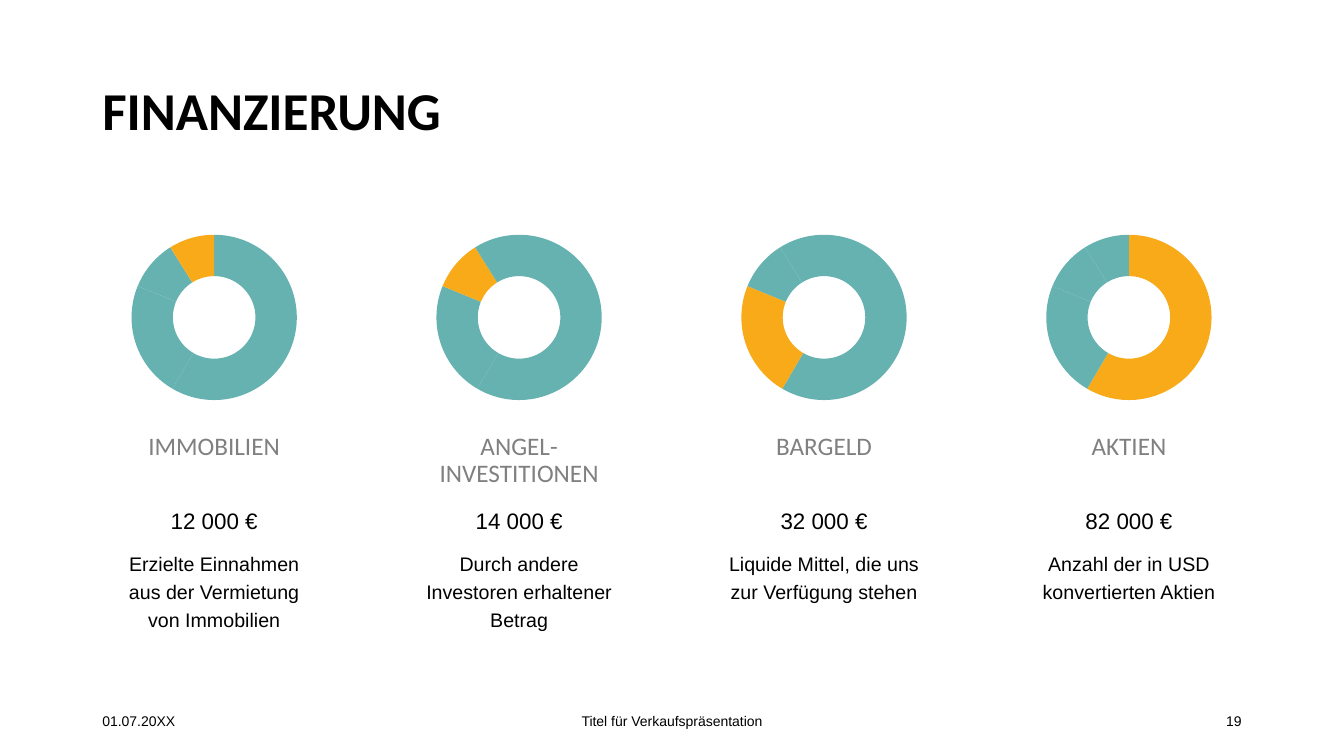
"""Builds the financing slide with four highlighted doughnut charts."""
from lxml.etree import SubElement
from pptx import Presentation
from pptx.chart.data import CategoryChartData
from pptx.dml.color import RGBColor
from pptx.enum.chart import XL_CHART_TYPE
from pptx.enum.text import MSO_ANCHOR, PP_ALIGN
from pptx.oxml.ns import qn
from pptx.util import Pt

SHARES = (59, 23, 10, 9)
PLOT_LAYOUT = (("layoutTarget", "inner"), ("xMode", "edge"), ("yMode", "edge"),
               ("x", 0.09), ("y", 0.07), ("w", 0.82), ("h", 0.87))
COLUMN_LEFT, COLUMN_STEP, COLUMN_WIDTH = 72, 217.8, 162
SOURCES = (
    ("IMMOBILIEN", "12 000 €", "Erzielte Einnahmen aus der Vermietung von Immobilien", 3),
    ("ANGEL-INVESTITIONEN", "14 000 €", "Durch andere Investoren erhaltener Betrag", 2),
    ("BARGELD", "32 000 €", "Liquide Mittel, die uns zur Verfügung stehen", 1),
    ("AKTIEN", "82 000 €", "Anzahl der in USD konvertierten Aktien", 0),
)
FOOTERS = (
    ("01.07.20XX", 66, 216, PP_ALIGN.LEFT),
    ("Titel für Verkaufspräsentation", 318, 324, PP_ALIGN.CENTER),
    ("19", 678, 216, PP_ALIGN.RIGHT),
)


def color(value):
    return RGBColor.from_string(value)


class SlideBuilder:
    heading_font = "Calibri"
    body_font = "Arial"
    black = "000000"
    gray = "808080"
    teal = "66B2B0"
    orange = "F9AA19"

    def __init__(self, deck):
        self.page = deck.slides.add_slide(deck.slide_layouts[6])

    def add_text(self, text, left, top, width, height, size=14, font=None, ink=None,
                 bold=False, align=PP_ALIGN.LEFT, anchor=MSO_ANCHOR.TOP, spacing=None):
        box = self.page.shapes.add_textbox(Pt(left), Pt(top), Pt(width), Pt(height))
        box.text_frame.word_wrap = True
        box.text_frame.vertical_anchor = anchor
        para = box.text_frame.paragraphs[0]
        para.alignment = align
        para.line_spacing = spacing
        span = para.add_run()
        span.text = text
        span.font.name = font or self.body_font
        span.font.size = Pt(size)
        span.font.bold = bold
        span.font.color.rgb = color(ink or self.black)

    def add_doughnut(self, left, top, width, height, highlight):
        data = CategoryChartData()
        data.categories = [str(number) for number in range(1, len(SHARES) + 1)]
        data.add_series("Series 1", SHARES)
        chart = self.page.shapes.add_chart(
            XL_CHART_TYPE.DOUGHNUT, Pt(left), Pt(top), Pt(width), Pt(height), data).chart
        chart.has_legend = False
        chart.has_title = False
        chart.font.name = self.body_font
        chart.font.size = Pt(10)
        chart.font.color.rgb = color(self.black)
        plot = chart.plots[0]
        plot.vary_by_categories = True
        for index in range(len(SHARES)):
            slice_format = plot.series[0].points[index].format
            slice_format.fill.solid()
            slice_format.fill.fore_color.rgb = color(
                self.orange if index == highlight else self.teal)
            slice_format.line.fill.background()
        self.place_plot(chart)

    def place_plot(self, chart):
        area = chart.element.find(".//" + qn("c:plotArea"))
        for layout in area.findall(qn("c:layout")):
            area.remove(layout)
        layout = SubElement(area, qn("c:layout"))
        area.insert(0, layout)
        manual = SubElement(layout, qn("c:manualLayout"))
        for name, value in PLOT_LAYOUT:
            SubElement(manual, qn("c:" + name)).set("val", str(value))
        hole = area.find(".//" + qn("c:holeSize"))
        hole.set("val", "50")

    def add_source(self, left, name, amount, detail, highlight):
        self.add_doughnut(left + 9, 157.7, 144, 136.8, highlight)
        self.add_text(name, left, 306, COLUMN_WIDTH, 43, size=18, font=self.heading_font,
                      ink=self.gray, align=PP_ALIGN.CENTER, spacing=0.9)
        for text, top, height, size in ((amount, 358, 22, 16), (detail, 387.4, 72, 14)):
            self.add_text(text, left, top, COLUMN_WIDTH, height, size=size,
                          align=PP_ALIGN.CENTER, spacing=Pt(20))


def main():
    deck = Presentation()
    deck.slide_width, deck.slide_height = Pt(960), Pt(540)
    builder = SlideBuilder(deck)
    builder.add_text("FINANZIERUNG", 66, 29, 828, 104, size=38, bold=True,
                     font=builder.heading_font, anchor=MSO_ANCHOR.MIDDLE, spacing=0.9)
    for column, details in enumerate(SOURCES):
        builder.add_source(COLUMN_LEFT + column * COLUMN_STEP, *details)
    for text, left, width, align in FOOTERS:
        builder.add_text(text, left, 500.4, width, 29, size=10, align=align,
                         anchor=MSO_ANCHOR.MIDDLE)
    deck.save("out.pptx")


if __name__ == "__main__":
    main()
